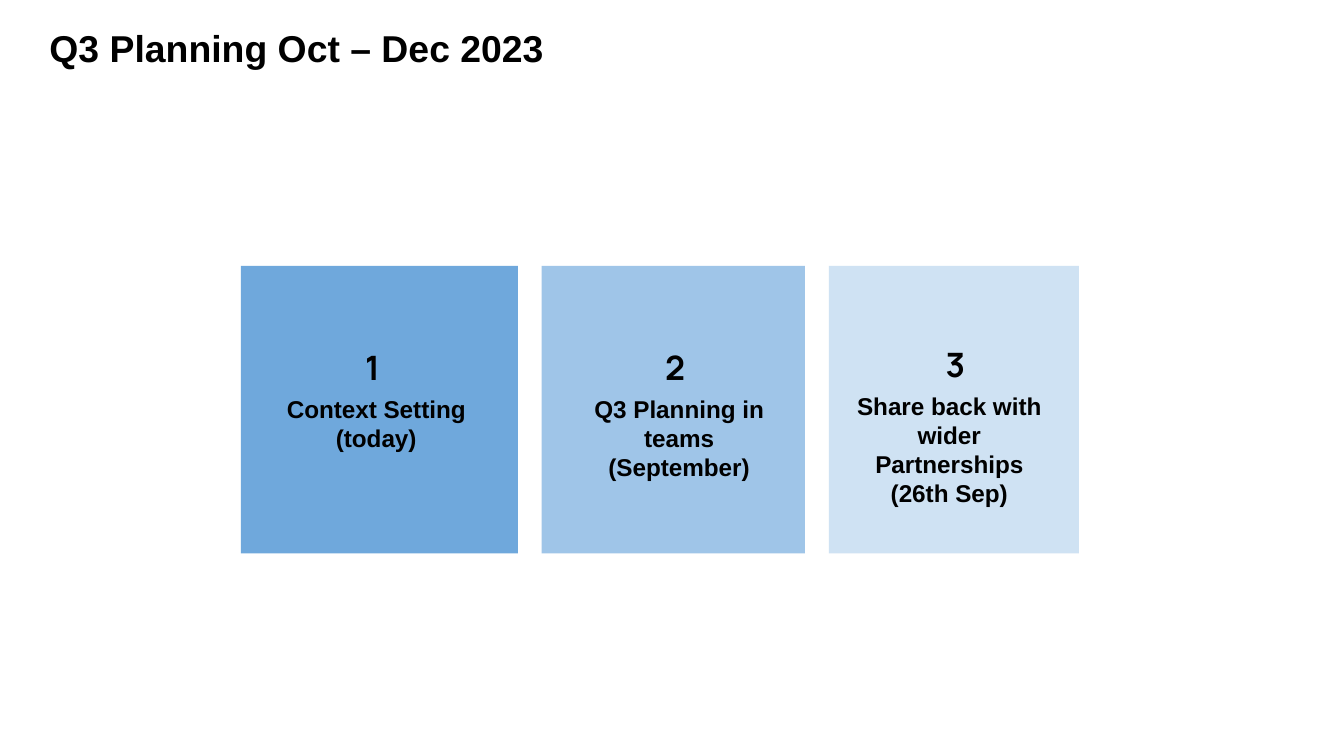
from pptx import Presentation
from pptx.dml.color import RGBColor
from pptx.enum.shapes import MSO_SHAPE as SHAPE
from pptx.enum.text import PP_ALIGN as ALIGN
from pptx.util import Pt

TITLE = "Q3 Planning Oct – Dec 2023"
# number, label, fill, card width, number offset, label offset, upward shift of text
STEPS = [
    ("1", "Context Setting (today)", "6FA8DC", 148.5, 59.5, 12, 0),
    ("2", "Q3 Planning in teams (September)", "9FC5E8", 141, 59, 13, 0),
    ("3", "Share back with wider Partnerships (26th Sep)", "CFE2F3", 134, 55.5, 4, 1.5),
]
CARD_LEFT, CARD_TOP, CARD_HEIGHT, GAP = 129, 142.5, 154, 12.75
NUMBER_TOP, LABEL_TOP = 178.5, 203.75


def rgb(value):
    return RGBColor.from_string(value)


def add_text(slide, text, left, top, width, height, size, font="Arial",
             align=ALIGN.LEFT, inset=7.2, spacing=None):
    box = slide.shapes.add_textbox(Pt(left), Pt(top), Pt(width), Pt(height))
    tf = box.text_frame
    tf.word_wrap = True
    tf.margin_left = tf.margin_right = tf.margin_top = tf.margin_bottom = Pt(inset)
    p = tf.paragraphs[0]
    p.alignment = align
    p.line_spacing = spacing
    r = p.add_run()
    r.text = text
    r.font.name, r.font.size, r.font.bold = font, Pt(size), True
    r.font.color.rgb = rgb("000000")


def add_card(slide, left, width, fill):
    sp = slide.shapes.add_shape(SHAPE.RECTANGLE, Pt(left), Pt(CARD_TOP),
                                Pt(width), Pt(CARD_HEIGHT))
    sp.shadow.inherit = False
    sp.fill.solid()
    sp.fill.fore_color.rgb = rgb(fill)
    sp.line.fill.background()


def main():
    prs = Presentation()
    prs.slide_width, prs.slide_height = Pt(720), Pt(405)
    slide = prs.slides.add_slide(prs.slide_layouts[6])
    add_text(slide, TITLE, 26.5, 16, 617, 47, 20, inset=0, spacing=0.9)

    left = CARD_LEFT
    for number, label, fill, width, number_dx, label_dx, lift in STEPS:
        add_card(slide, left, width, fill)
        add_text(slide, label, left + label_dx, LABEL_TOP - lift, 121, 62, 13,
                 align=ALIGN.CENTER)
        add_text(slide, number, left + number_dx, NUMBER_TOP - lift, 32, 36, 18,
                 font="Manrope")
        left += width + GAP

    prs.save("out.pptx")


if __name__ == "__main__":
    main()
